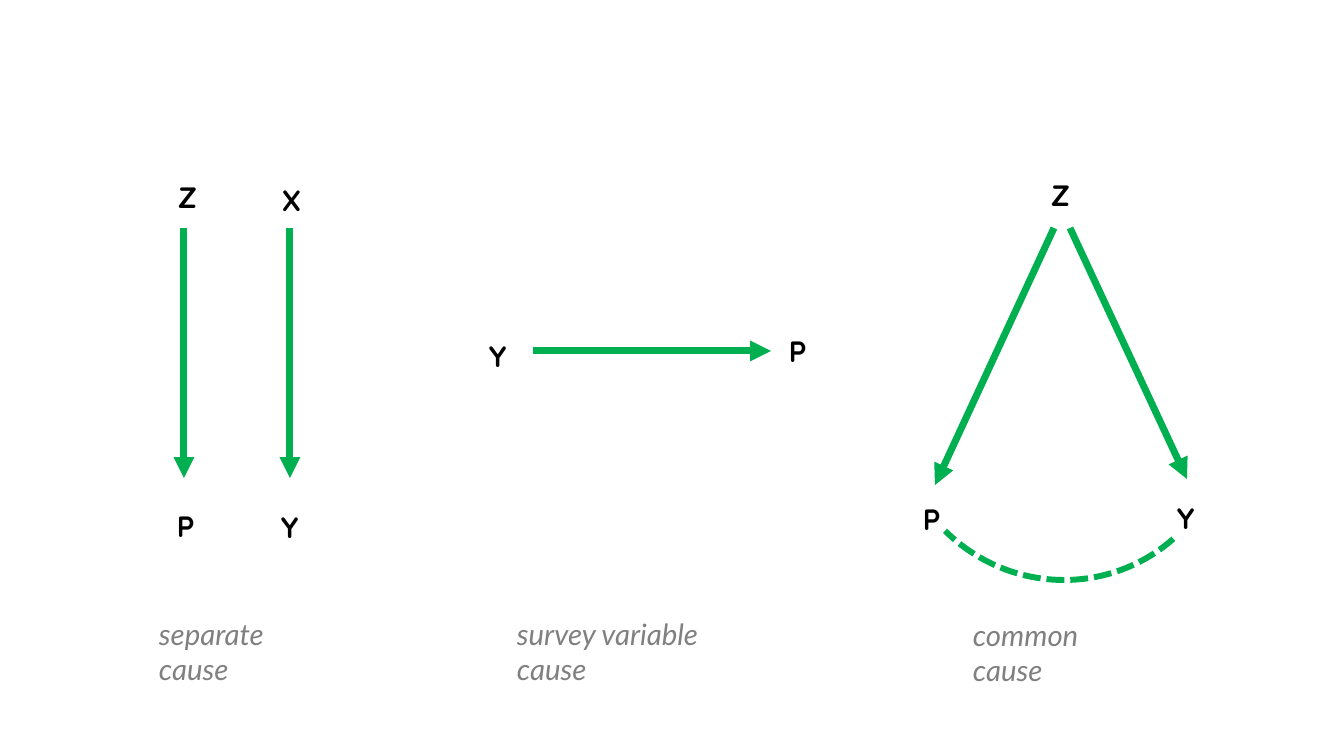
from lxml.etree import SubElement
from pptx import Presentation
from pptx.dml.color import RGBColor
from pptx.enum.dml import MSO_LINE
from pptx.enum.shapes import MSO_CONNECTOR, MSO_SHAPE
from pptx.enum.text import MSO_AUTO_SIZE
from pptx.oxml.ns import qn
from pptx.util import Emu, Pt

EMU_PER_PIXEL = 914400 / 100.8


def px(pixels):
    return Emu(round(pixels * EMU_PER_PIXEL))


def color(hex_string):
    return RGBColor.from_string(hex_string)


class DiagramSlide:
    GREEN, BLACK, GRAY = "00B050", "000000", "808080"
    TEXT_SIZE, TEXT_HEIGHT, LETTER_WIDTH = 21, 45, 40

    def __init__(self, presentation):
        self.slide = presentation.slides.add_slide(presentation.slide_layouts[6])

    def text(self, words, left, top, width, font_name, hex_color):
        box = self.slide.shapes.add_textbox(
            px(left), px(top), px(width), px(self.TEXT_HEIGHT))
        text_frame = box.text_frame
        text_frame.word_wrap = True
        text_frame.auto_size = MSO_AUTO_SIZE.SHAPE_TO_FIT_TEXT
        text_frame.text = words
        font = text_frame.paragraphs[0].runs[0].font
        font.name, font.size = font_name, Pt(self.TEXT_SIZE)
        font.color.rgb = color(hex_color)
        return font

    def variable(self, letter, left, top):
        font = self.text(letter, left, top, self.LETTER_WIDTH, "Quicksand", self.BLACK)
        font.bold = True

    def caption(self, words, left, top, width):
        font = self.text(words, left, top, width, "Lato", self.GRAY)
        font.italic = True

    def arrow(self, *ends):
        connector = self.slide.shapes.add_connector(
            MSO_CONNECTOR.STRAIGHT, *map(px, ends))
        connector.line.color.rgb = color(self.GREEN)
        connector.line.width = Pt(5)
        SubElement(connector.line._get_or_add_ln(), qn("a:tailEnd"), type="triangle")
        SubElement(connector._element.spPr, qn("a:effectLst"))

    def dashed_arc(self, left, top, width, height, rotation, start):
        arc = self.slide.shapes.add_shape(
            MSO_SHAPE.ARC, px(left), px(top), px(width), px(height))
        arc.shadow.inherit = False
        arc.rotation = rotation
        arc.adjustments[0] = start
        arc.adjustments[1] = 0
        arc.fill.background()
        arc.line.color.rgb = color(self.GREEN)
        arc.line.width = Pt(4.25)
        arc.line.dash_style = MSO_LINE.SQUARE_DOT


presentation = Presentation()
presentation.slide_width, presentation.slide_height = px(1344), px(756)
diagram = DiagramSlide(presentation)

# Variables: separate cause, survey variable cause, common cause
for letter, left, top in [
    ("Z", 168, 174), ("X", 272, 177), ("P", 167, 503), ("Y", 271, 504),
    ("Y", 479, 333), ("P", 779, 328),
    ("Z", 1041, 172), ("P", 913, 496), ("Y", 1167, 495),
]:
    diagram.variable(letter, left, top)

# Causal arrows
for column in (184, 290):
    diagram.arrow(column, 228, column, 478)
diagram.arrow(533, 351, 771, 351)
diagram.arrow(1054, 228, 935, 485)
diagram.arrow(1070, 228, 1187, 479)

# Induced association between P and Y
diagram.dashed_arc(896, 245, 332, 336, rotation=134.8, start=164.22)

# Captions
diagram.caption("separate cause", 149, 611, 196)
diagram.caption("survey variable cause", 507, 611, 270)
diagram.caption("common cause", 963, 612, 196)

presentation.save("out.pptx")
